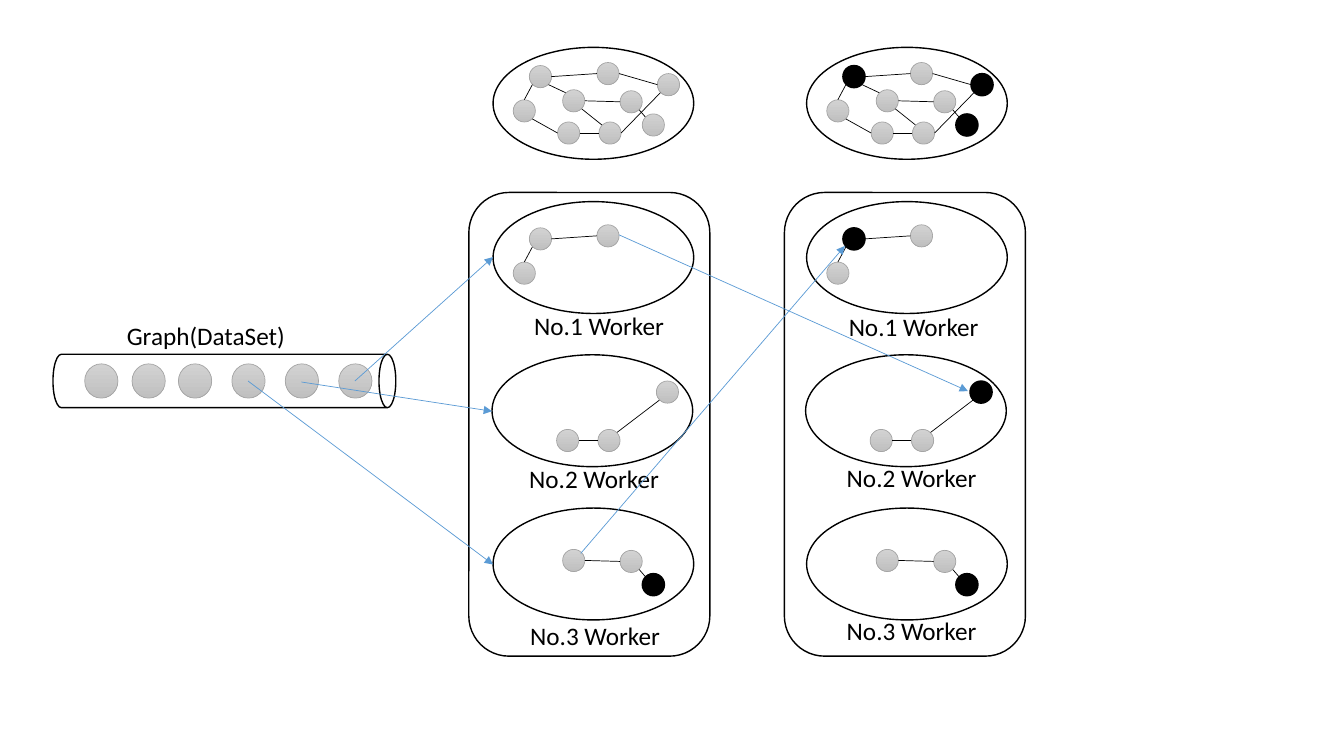
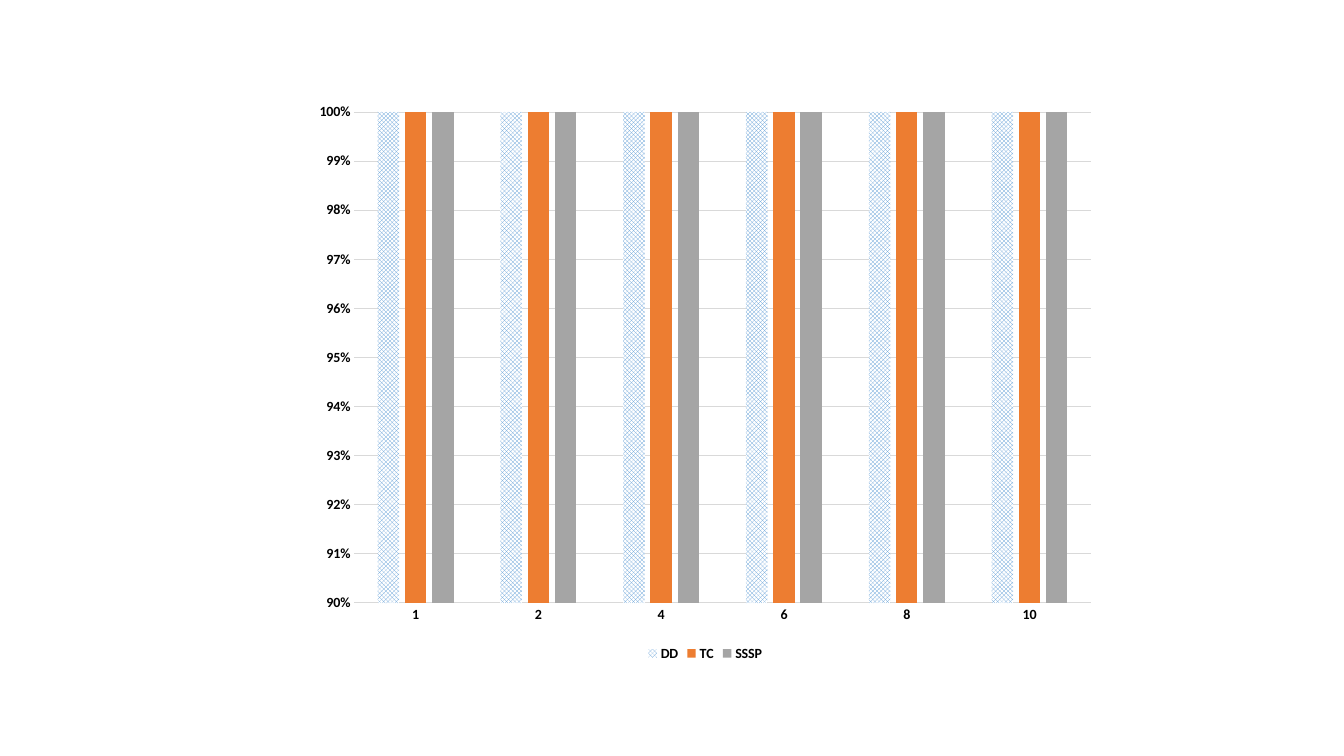
"""Build a two-slide deck: a graph split over workers, and a column chart."""
from lxml.etree import SubElement
from pptx import Presentation
from pptx.chart.data import CategoryChartData
from pptx.dml.color import RGBColor
from pptx.enum.chart import XL_CHART_TYPE as Kind, XL_LEGEND_POSITION as Place
from pptx.enum.chart import XL_TICK_MARK as Tick
from pptx.enum.dml import MSO_PATTERN as Pat
from pptx.enum.shapes import MSO_CONNECTOR as Link, MSO_SHAPE as Form
from pptx.oxml.ns import qn
from pptx.util import Pt

PX = 9144
FONT = "Calibri"
HEX = {"white": "FFFFFF", "black": "000000", "blue": "5B9BD5", "orange": "ED7D31",
       "gray": "A5A5A5", "light": "D2D2D2", "dark": "C0C0C0", "grid": "D9D9D9"}
INK = {name: RGBColor.from_string(code) for name, code in HEX.items()}

deck = Presentation()
deck.slide_width, deck.slide_height = 1333 * PX, 750 * PX
blank = deck.slide_layouts[6]
slide = deck.slides.add_slide(blank)


def text(words, x, y, w, h=40, size=18, color="black"):
    box = slide.shapes.add_textbox(x * PX, y * PX, w * PX, h * PX)
    box.text_frame.word_wrap = True
    run = box.text_frame.paragraphs[0].add_run()
    run.text = words
    run.font.name, run.font.size = FONT, Pt(size)
    run.font.color.rgb = INK[color]


def shape(form, x, y, w, h, fill="white"):
    item = slide.shapes.add_shape(form, x * PX, y * PX, w * PX, h * PX)
    item.shadow.inherit = False
    if fill == "shade":
        item.fill.gradient()
        item.fill.gradient_angle = 270
        for stop, tone in zip(item.fill.gradient_stops, ("light", "dark")):
            stop.color.rgb = INK[tone]
    else:
        item.fill.solid()
        item.fill.fore_color.rgb = INK[fill]
    item.line.color.rgb = INK["gray" if fill == "shade" else "black"]
    item.line.width = Pt(0.5 if fill == "shade" else 1)
    return item


NODES = {"a": (525, 65), "b": (509, 99), "c": (592, 62), "d": (558, 89), "e": (615, 90),
         "f": (553, 121), "g": (594, 121), "h": (652, 73), "i": (637, 113)}
SITES = {"N": (11, 0), "NE": (19, 3), "E": (22, 11), "SE": (19, 19),
         "S": (11, 22), "SW": (3, 19), "W": (0, 11), "NW": (3, 3)}
ROWS = [
    (0, 47, 0, "abcdefghi", "aE-cW aSW-bN fE-gW gE-hSW dE-eW eSE-iNW aSE-dNW dSE-gNW cE-hW bSE-fW"),
    (0, 200, 161, "abc", "aE-cW aSW-bN"),
    (-1, 352, 305, "fgh", "fE-gW gNE-hSW"),
    (0, 504, 456, "dei", "dE-eW eSE-iNW"),
]
lines = []

for x in (778, 465):
    shape(Form.ROUNDED_RECTANGLE, x, 191, 239, 460)

pipe = shape(Form.CAN, 196, 208, 53, 340)
pipe.rotation = 90
pipe.adjustments[0] = 0.315
for x in (84, 131, 177, 230, 283, 336):
    shape(Form.FLOWCHART_CONNECTOR, x, 361, 33, 34, fill="shade")

for col, shift in enumerate((0, 311)):
    for row, (nudge, top, drop, names, edges) in enumerate(ROWS):
        left = shift + nudge
        shape(Form.OVAL, 489 + left, top, 199, 111)
        solid = "ahi" if col else "i" if row else ""
        for name in names:
            x, y = NODES[name]
            shape(Form.FLOWCHART_CONNECTOR, x + left, y + drop, 22, 22,
                  fill="black" if name in solid else "shade")
        for edge in edges.split():
            ends = []
            for end in edge.split("-"):
                (x, y), (dx, dy) = NODES[end[0]], SITES[end[1:]]
                ends += [x + dx + left, y + dy + drop]
            lines.append((*ends, "black"))

text("Graph(DataSet)", 116, 313, 198)
for spots in ([(520, 303), (515, 455), (516, 611)], [(832, 304), (830, 454), (830, 606)]):
    for number, (x, y) in enumerate(spots, 1):
        text(f"No.{number} Worker", x, y, 157)

lines += [(352, 378, 489, 255, "blue"), (246, 378, 489, 560, "blue"),
          (299, 379, 488, 408, "blue"), (576, 549, 838, 244, "blue"),
          (614, 233, 960, 388, "blue")]
for *ends, color in lines:
    line = slide.shapes.add_connector(Link.STRAIGHT, *(n * PX for n in ends))
    line.line.color.rgb = INK[color]
    line.line.width = Pt(0.5)
    props = line._element.spPr
    if color == "blue":
        SubElement(props.find(qn("a:ln")), qn("a:tailEnd"), type="triangle")
    SubElement(props, qn("a:effectLst"))

slide = deck.slides.add_slide(blank)
data = CategoryChartData(number_format="0%")
data.categories = ["1", "2", "4", "6", "8", "10"]
for name in ("DD", "TC", "SSSP"):
    data.add_series(name, [1] * 6)
chart = slide.shapes.add_chart(Kind.COLUMN_CLUSTERED, 301 * PX, 92 * PX,
                               797 * PX, 568 * PX, data).chart
chart.has_title = False
chart.font.name, chart.font.size, chart.font.bold = FONT, Pt(10), True
chart.font.color.rgb = INK["black"]
chart.has_legend = True
chart.legend.position = Place.BOTTOM
chart.legend.include_in_layout = False

plot = chart.plots[0]
plot.gap_width, plot.overlap, plot.vary_by_categories = 219, -27, False
for series, color in zip(plot.series, ("blue", "orange", "gray")):
    fill = series.format.fill
    if color == "blue":
        fill.patterned()
        fill.pattern = Pat.TRELLIS
        fill.back_color.rgb = INK["white"]
    else:
        fill.solid()
    fill.fore_color.rgb = INK[color]

cats, vals = chart.category_axis, chart.value_axis
for axis in (cats, vals):
    axis.major_tick_mark = axis.minor_tick_mark = Tick.NONE
vals.minimum_scale, vals.maximum_scale, vals.major_unit = 0.9, 1, 0.01
vals.tick_labels.number_format = "0%"
vals.tick_labels.number_format_is_linked = False
vals.format.line.fill.background()
for rule in (cats.format.line, vals.major_gridlines.format.line):
    rule.color.rgb = INK["grid"]
    rule.width = Pt(0.75)

deck.save("out.pptx")
